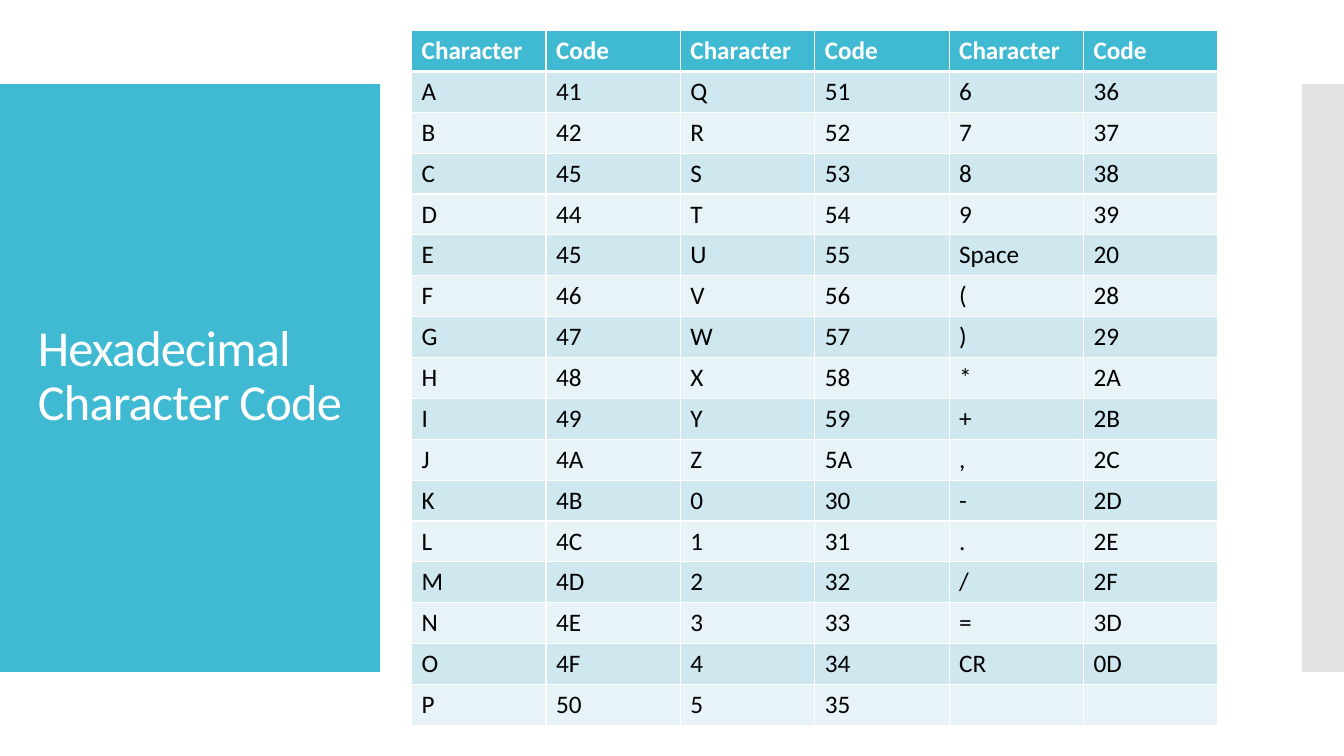
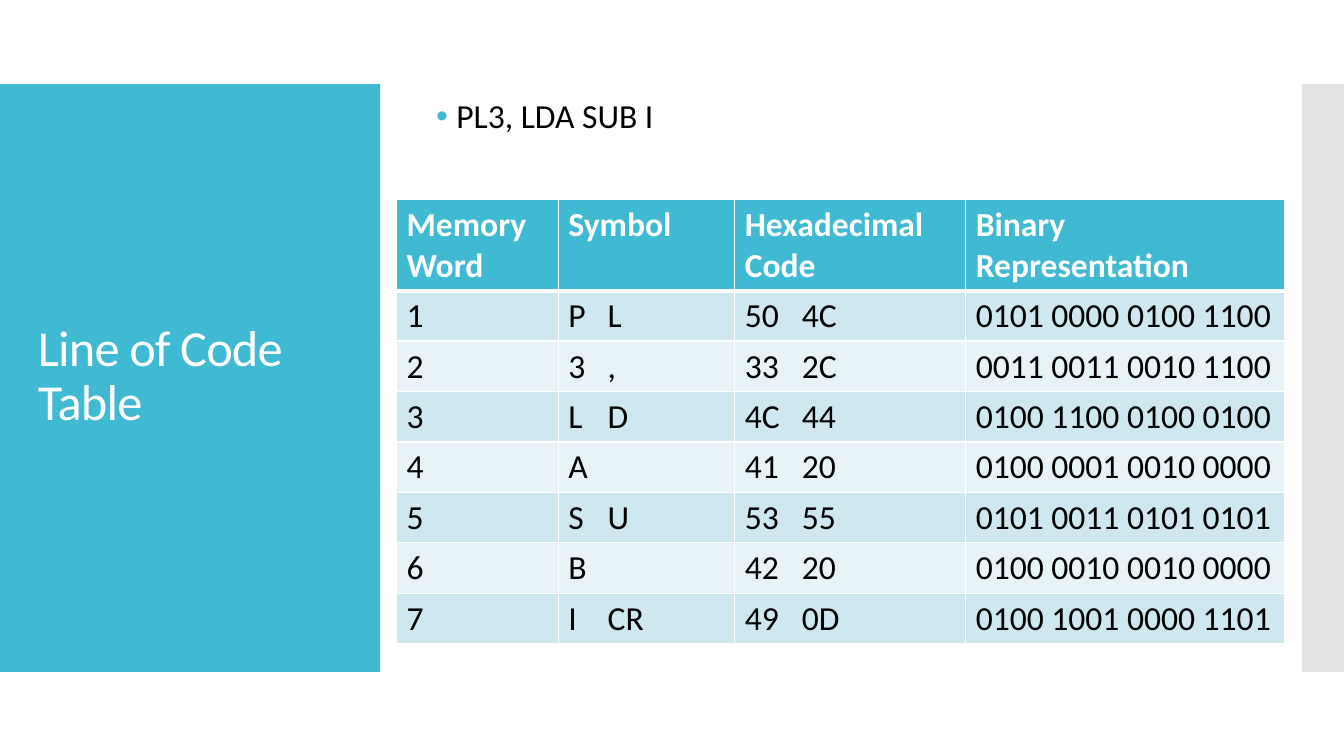
from dataclasses import dataclass
from typing import Any, Optional

from lxml.etree import SubElement
from pptx import Presentation
from pptx.dml.color import RGBColor
from pptx.enum.shapes import MSO_SHAPE
from pptx.enum.text import MSO_ANCHOR
from pptx.oxml.ns import qn
from pptx.util import Pt

COLOURS = {
    "accent": "40BAD2",
    "side": "C8C8C8",
    "white": "FFFFFF",
    "black": "000000",
    "odd": "CFE7EE",
    "even": "E8F3F7",
}
FONT = "Calibri"
TITLE_FORMAT = {"name": FONT, "size": Pt(36), "bold": False}
BODY_FORMAT = {"name": FONT, "size": Pt(24), "bold": False}


@dataclass(frozen=True)
class Box:
    left: float
    top: float
    width: float
    height: float

    def lengths(self) -> tuple:
        return Pt(self.left), Pt(self.top), Pt(self.width), Pt(self.height)


@dataclass(frozen=True)
class Band:
    box: Box
    colour: str
    opacity: int


@dataclass(frozen=True)
class TableDesign:
    left: float
    top: float
    columns: tuple
    header_height: float
    row_height: float
    font_size: float
    rows: list
    tab_stops: dict


@dataclass(frozen=True)
class SlideDesign:
    title: str
    table: TableDesign
    bullet: Optional[str] = None


# Shared layout
BANDS = (
    Band(Box(0, 60, 271.5, 420), "accent", 100),
    Band(Box(930, 60, 30, 420), "side", 50),
)
TITLE_BOX = Box(20, 88.5, 232, 362)
BODY_BOX = Box(304.5, 67.5, 576, 403)
BULLET_INDENT = 14.4

# Table contents
CHARACTER_CODES = """\
Character Code Character Code Character Code
A 41 Q 51 6 36
B 42 R 52 7 37
C 45 S 53 8 38
D 44 T 54 9 39
E 45 U 55 Space 20
F 46 V 56 ( 28
G 47 W 57 ) 29
H 48 X 58 * 2A
I 49 Y 59 + 2B
J 4A Z 5A , 2C
K 4B 0 30 - 2D
L 4C 1 31 . 2E
M 4D 2 32 / 2F
N 4E 3 33 = 3D
O 4F 4 34 CR 0D
P 50 5 35"""

MEMORY_WORDS = [
    ["Memory Word", "Symbol", "Hexadecimal Code", "Binary Representation"],
    ["1", "P\tL", "50\t4C", "0101 0000 0100 1100"],
    ["2", "3\t,", "33\t2C", "0011 0011 0010 1100"],
    ["3", "L\tD", "4C\t44", "0100 1100 0100 0100"],
    ["4", "A", "41\t20", "0100 0001 0010 0000"],
    ["5", "S\tU", "53\t55", "0101 0011 0101 0101"],
    ["6", "B", "42\t20", "0100 0010 0010 0000"],
    ["7", "I\tCR", "49\t0D", "0100 1001 0000 1101"],
]

SLIDES = (
    SlideDesign(
        "Hexadecimal Character Code",
        TableDesign(294, 21.8, (96,) * 6, 29.2, 29.2, 18,
                    [line.split() for line in CHARACTER_CODES.splitlines()], {}),
    ),
    SlideDesign(
        "Line of Code Table",
        TableDesign(283.2, 142.6, (115.6, 126, 165, 227.6), 65, 36, 24,
                    MEMORY_WORDS, {1: 28, 2: 40.8}),
        "PL3, LDA SUB I",
    ),
)


def colour_of(name: str) -> RGBColor:
    return RGBColor.from_string(COLOURS[name])


def apply_format(target: Any, values: dict) -> None:
    for attribute, value in values.items():
        setattr(target, attribute, value)


def format_font(font: Any, values: dict, colour: str) -> None:
    apply_format(font, values)
    font.color.rgb = colour_of(colour)


def draw_band(slide: Any, band: Band) -> None:
    shape = slide.shapes.add_shape(MSO_SHAPE.RECTANGLE, *band.box.lengths())
    shape.shadow.inherit = False
    shape.line.fill.background()
    shape.fill.solid()
    shape.fill.fore_color.rgb = colour_of(band.colour)
    if band.opacity < 100:
        colour = shape.fill._xPr.find(".//" + qn("a:srgbClr"))
        SubElement(colour, qn("a:alpha"), val=str(band.opacity * 1000))


def add_text(slide: Any, box: Box, text: str, anchor: MSO_ANCHOR) -> Any:
    frame = slide.shapes.add_textbox(*box.lengths()).text_frame
    apply_format(frame, {"word_wrap": True, "vertical_anchor": anchor})
    paragraph = frame.paragraphs[0]
    paragraph.text = text
    paragraph.line_spacing = 0.9
    return paragraph


def draw_title(slide: Any, title: str) -> None:
    run = add_text(slide, TITLE_BOX, title, MSO_ANCHOR.MIDDLE).runs[0]
    format_font(run.font, TITLE_FORMAT, "white")
    run._r.get_or_add_rPr().set("spc", "-60")


def draw_bullet(slide: Any, text: str) -> None:
    paragraph = add_text(slide, BODY_BOX, text, MSO_ANCHOR.TOP)
    properties = paragraph._p.get_or_add_pPr()
    properties.set("marL", str(Pt(BULLET_INDENT)))
    properties.set("indent", str(-Pt(BULLET_INDENT)))
    bullet_colour = SubElement(properties, qn("a:buClr"))
    SubElement(bullet_colour, qn("a:srgbClr"), val=COLOURS["accent"])
    SubElement(properties, qn("a:buFont"), typeface="Arial")
    SubElement(properties, qn("a:buChar"), char="•")
    format_font(paragraph.runs[0].font, BODY_FORMAT, "black")


def draw_borders(cell: Any, bottom_width: float) -> None:
    properties = cell._tc.get_or_add_tcPr()
    widths = {"a:lnL": 1, "a:lnR": 1, "a:lnT": 1, "a:lnB": bottom_width}
    for tag, width in widths.items():
        line = SubElement(properties, qn(tag), w=str(Pt(width)))
        fill = SubElement(line, qn("a:solidFill"))
        SubElement(fill, qn("a:srgbClr"), val=COLOURS["white"])


def fill_cell(cell: Any, text: str, row: int, size: float,
              tab_stop: Optional[float]) -> None:
    is_header = row == 0
    draw_borders(cell, 3 if is_header else 1)
    cell.fill.solid()
    band = "odd" if row % 2 else "even"
    cell.fill.fore_color.rgb = colour_of("accent" if is_header else band)
    paragraph = cell.text_frame.paragraphs[0]
    paragraph.text = text
    if tab_stop and "\t" in text:
        tabs = SubElement(paragraph._p.get_or_add_pPr(), qn("a:tabLst"))
        SubElement(tabs, qn("a:tab"), pos=str(Pt(tab_stop)), algn="l")
    values = {"name": FONT, "size": Pt(size), "bold": is_header}
    colour = "white" if is_header else "black"
    format_font(paragraph.font, values, colour)
    for run in paragraph.runs:
        format_font(run.font, values, colour)


def draw_table(slide: Any, design: TableDesign) -> None:
    row_count, column_count = len(design.rows), len(design.columns)
    height = design.header_height + design.row_height * (row_count - 1)
    box = Box(design.left, design.top, sum(design.columns), height)
    table = slide.shapes.add_table(row_count, column_count, *box.lengths()).table
    for column, width in zip(table.columns, design.columns):
        column.width = Pt(width)
    for row, texts in enumerate(design.rows):
        table.rows[row].height = Pt(design.row_height if row else design.header_height)
        padded = texts + [""] * (column_count - len(texts))
        for column, text in enumerate(padded):
            fill_cell(table.cell(row, column), text, row, design.font_size,
                      design.tab_stops.get(column))


def draw_slide(presentation: Any, design: SlideDesign) -> None:
    slide = presentation.slides.add_slide(presentation.slide_layouts[6])
    for band in BANDS:
        draw_band(slide, band)
    draw_title(slide, design.title)
    if design.bullet:
        draw_bullet(slide, design.bullet)
    draw_table(slide, design.table)


def main() -> None:
    presentation = Presentation()
    apply_format(presentation, {"slide_width": Pt(960), "slide_height": Pt(540)})
    for design in SLIDES:
        draw_slide(presentation, design)
    presentation.save("out.pptx")


if __name__ == "__main__":
    main()
